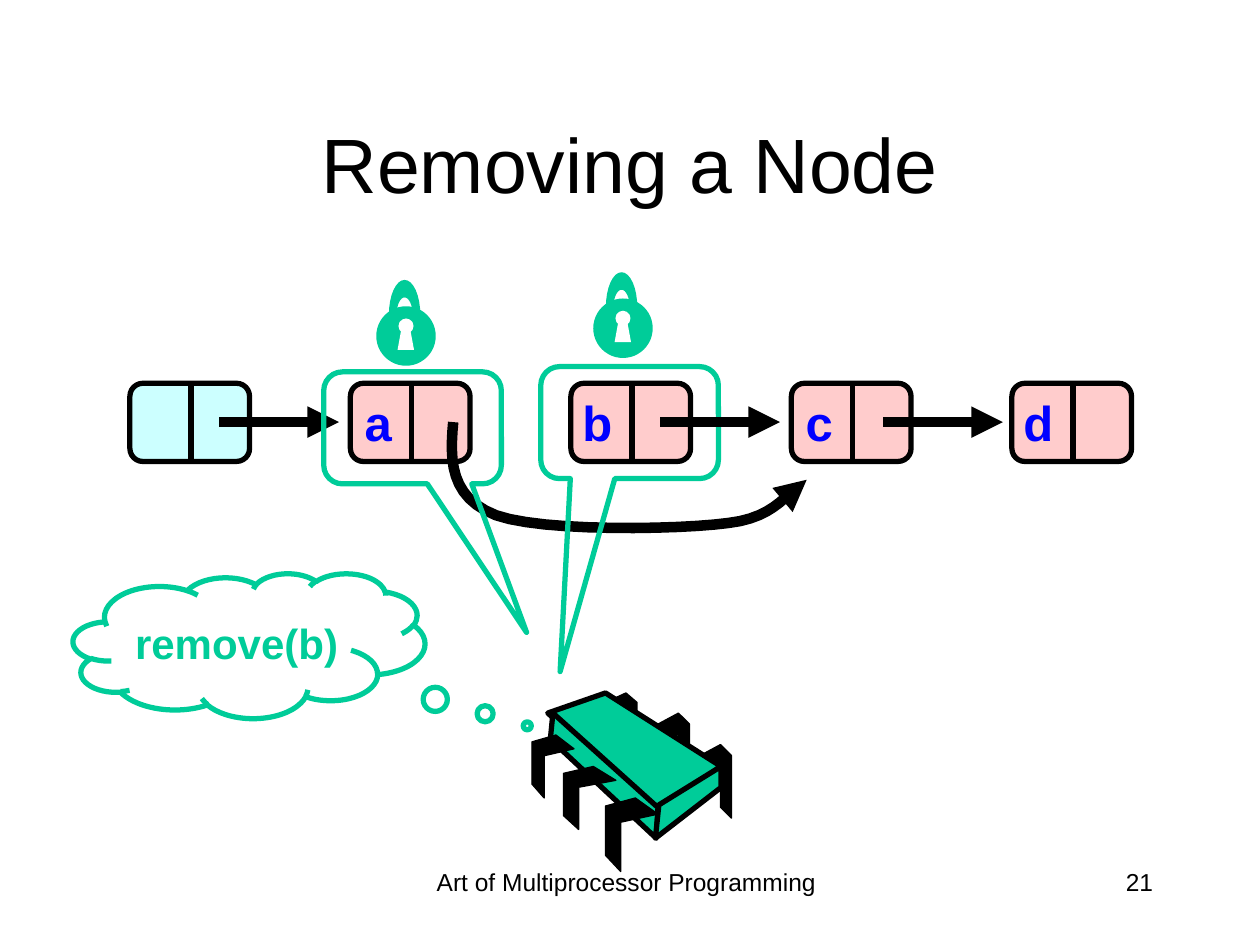
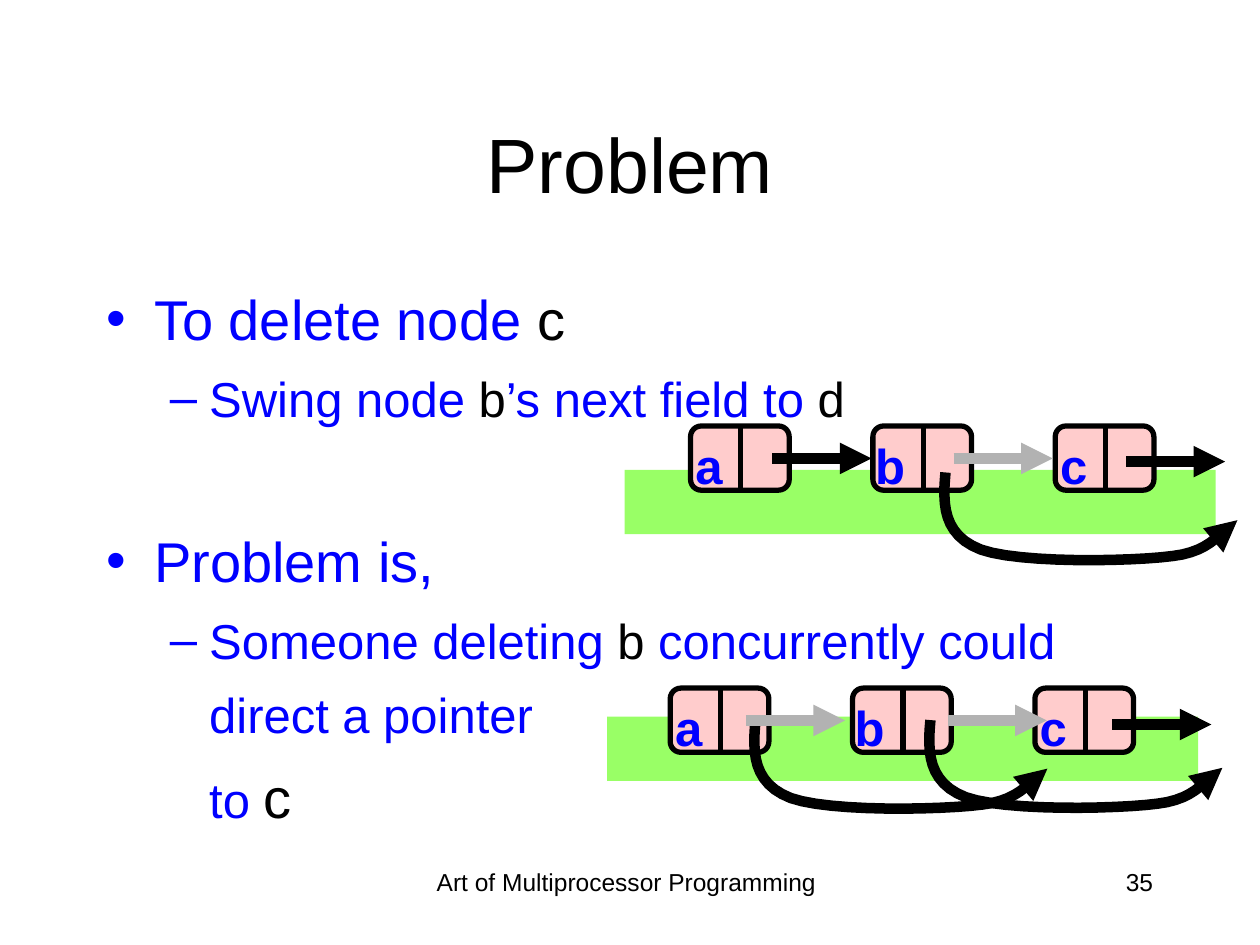
"""Build two slides on removing nodes from a linked list."""

import itertools
import math
from dataclasses import dataclass
from typing import Sequence

import lxml.etree
import pptx
import pptx.dml.color
import pptx.enum.shapes
import pptx.enum.text
import pptx.oxml.ns
import pptx.shapes.base
import pptx.slide
import pptx.text.text
import pptx.util

Pt = pptx.util.Pt
RGBColor = pptx.dml.color.RGBColor
SHAPE = pptx.enum.shapes.MSO_SHAPE
ALIGN = pptx.enum.text.PP_ALIGN
ANCHOR = pptx.enum.text.MSO_ANCHOR

BLACK = RGBColor(0x00, 0x00, 0x00)
WHITE = RGBColor(0xFF, 0xFF, 0xFF)
BLUE = RGBColor(0x00, 0x00, 0xFF)
GREEN = RGBColor(0x00, 0xCC, 0x99)
LIME = RGBColor(0x99, 0xFF, 0x66)
PINK = RGBColor(0xFF, 0xCC, 0xCC)
CYAN = RGBColor(0xCC, 0xFF, 0xFF)
GRAY = RGBColor(0xB2, 0xB2, 0xB2)

FONT = "Arial"
FOOTER = "Art of Multiprocessor Programming"

Point = tuple[float, float]

BACK_LEG = [(0, 0.15), (0.65, 0), (1, 0.15), (1, 1), (0.65, 0.85), (0.65, 0.29), (0, 0.43)]
FRONT_LEG = [(0.57, 0), (1, 0.22), (0.29, 0.33), (0.29, 1), (0, 0.78), (0, 0.11)]
SWING = [
    [(0.01, 0), (0, 0.34), (0, 0.68), (0.13, 0.84)],
    [(0.13, 0.84), (0.26, 0.99), (0.64, 0.97), (0.78, 0.91)],
    [(0.78, 0.91), (0.92, 0.86), (0.95, 0.6), (1, 0.52)],
]


@dataclass(frozen=True)
class Box:
    """A rectangle in points."""

    left: float
    top: float
    width: float
    height: float

    def emu(self) -> tuple[int, int, int, int]:
        """Return the four lengths for python-pptx."""
        return Pt(self.left), Pt(self.top), Pt(self.width), Pt(self.height)

    def place(self, points: Sequence[Point]) -> list[Point]:
        """Map unit coordinates into the rectangle."""
        return [(self.left + x * self.width, self.top + y * self.height) for x, y in points]


@dataclass(frozen=True)
class Node:
    """A list node with an optional label."""

    box: Box
    label: str = ""
    fill: RGBColor = PINK


@dataclass(frozen=True)
class Arrow:
    """A horizontal pointer arrow."""

    left: float
    y: float
    length: float
    color: RGBColor = BLACK


@dataclass(frozen=True)
class Bullet:
    """A body paragraph whose runs alternate between blue and black."""

    runs: tuple[str, ...]
    mark: str = ""
    size: float = 28
    margin: float = 58.5
    hanging: float = 22.5
    space_before: float = 9.5
    black_size: float = 28


BULLETS = [
    Bullet(("To delete node ", "c"), "•", 32, 27, 27, 0, 32),
    Bullet(("Swing node ", "b", "’s next field to ", "d"), "–"),
    Bullet(("Problem is,",), "•", 32, 27, 27, 57),
    Bullet(("Someone deleting ", "b", " concurrently could"), "–"),
    Bullet(("direct a pointer",), hanging=0, space_before=8.5),
    Bullet(("to ", "c"), hanging=0, space_before=11, black_size=32),
]


def add_run(paragraph, text: str, *, size: float, color: RGBColor = BLACK, bold: bool = False) -> None:
    """Append a formatted run to a paragraph."""
    run = paragraph.add_run()
    run.text = text
    run.font.name = FONT
    run.font.size = Pt(size)
    run.font.bold = bold
    run.font.color.rgb = color


def write(frame: pptx.text.text.TextFrame, text: str, *, align=ALIGN.CENTER, anchor=ANCHOR.TOP, **style) -> None:
    """Write one formatted paragraph into a text frame."""
    frame.word_wrap = True
    frame.vertical_anchor = anchor
    frame.paragraphs[0].alignment = align
    add_run(frame.paragraphs[0], text, **style)


def add_frame(slide: pptx.slide.Slide, box: Box) -> pptx.text.text.TextFrame:
    """Add a text box and return its frame."""
    return slide.shapes.add_textbox(*box.emu()).text_frame


def paint(shape: pptx.shapes.base.BaseShape, fill: RGBColor | None, line: RGBColor | None, width: float = 3) -> None:
    """Set fill and outline, with no shadow."""
    shape.shadow.inherit = False
    if fill is None:
        shape.fill.background()
    else:
        shape.fill.solid()
        shape.fill.fore_color.rgb = fill
    if line is None:
        shape.line.fill.background()
    else:
        shape.line.color.rgb = line
        shape.line.width = Pt(width)


def add_preset(slide: pptx.slide.Slide, kind, box: Box, *, fill=None, line=None, adjust: Sequence[float] = ()):
    """Add a preset shape."""
    shape = slide.shapes.add_shape(kind, *box.emu())
    for index, value in enumerate(adjust):
        shape.adjustments[index] = value
    paint(shape, fill, line)
    return shape


def add_outline(slide: pptx.slide.Slide, points: Sequence[Point], *, fill=None, line=None, width=3.0, close=True):
    """Add a freeform through the given points."""
    corners = [(Pt(x), Pt(y)) for x, y in points]
    builder = slide.shapes.build_freeform(*corners[0])
    builder.add_line_segments(corners[1:], close=close)
    shape = builder.convert_to_shape()
    paint(shape, fill, line, width)
    return shape


def add_arrowhead(shape: pptx.shapes.base.BaseShape) -> None:
    """Put a triangle at the end of a line."""
    line = shape.element.spPr.find(pptx.oxml.ns.qn("a:ln"))
    lxml.etree.SubElement(line, pptx.oxml.ns.qn("a:tailEnd"), type="triangle")


def add_line(slide: pptx.slide.Slide, start: Point, end: Point, color: RGBColor, width: float):
    """Add a straight connector without a shadow."""
    kind = pptx.enum.shapes.MSO_CONNECTOR.STRAIGHT
    connector = slide.shapes.add_connector(kind, *(Pt(value) for value in (*start, *end)))
    connector.line.color.rgb = color
    connector.line.width = Pt(width)
    lxml.etree.SubElement(connector.element.spPr, pptx.oxml.ns.qn("a:effectLst"))
    return connector


def add_arrow(slide: pptx.slide.Slide, arrow: Arrow) -> None:
    """Draw a pointer arrow."""
    end = (arrow.left + arrow.length, arrow.y)
    add_arrowhead(add_line(slide, (arrow.left, arrow.y), end, arrow.color, 6))


def add_swing(slide: pptx.slide.Slide, box: Box) -> None:
    """Draw the curved arrow that bypasses a node."""
    points = [SWING[0][0]]
    for curve in SWING:
        for step in range(1, 13):
            t = step / 12
            weights = [math.comb(3, k) * t**k * (1 - t) ** (3 - k) for k in range(4)]
            points.append(tuple(sum(w * p[axis] for w, p in zip(weights, curve)) for axis in (0, 1)))
    add_arrowhead(add_outline(slide, box.place(points), line=BLACK, width=6, close=False))


def add_node(slide: pptx.slide.Slide, node: Node) -> None:
    """Draw a two-field list node."""
    box = node.box
    add_preset(slide, SHAPE.ROUNDED_RECTANGLE, box, fill=node.fill, line=BLACK, adjust=[0.167])
    middle = box.left + 0.51 * box.width
    add_line(slide, (middle, box.top - 0.5), (middle, box.top + box.height + 0.5), BLACK, 3)
    if node.label:
        right = box.left + 0.45 * box.width
        frame = add_frame(slide, Box(right - 34, box.top + 2, 34, 41))
        frame.margin_left = 0
        write(frame, node.label, align=ALIGN.RIGHT, size=28, color=BLUE, bold=True)


def add_lock(slide: pptx.slide.Slide, left: float, top: float) -> None:
    """Draw a padlock whose disc starts at the given point."""
    add_preset(slide, SHAPE.OVAL, Box(left, top, 34, 34), fill=GREEN)
    add_preset(slide, SHAPE.OVAL, Box(left + 12.7, top + 7, 8.6, 8.6), fill=WHITE)
    keyhole = [(12.2, 25), (14.4, 13), (19.4, 13), (21.6, 25)]
    angles = [math.pi * step / 16 for step in range(17)]
    outer = [(16.2 - 9 * math.cos(a), 5 - 20 * math.sin(a)) for a in angles]
    inner = [(16.2 + 4.6 * math.cos(a), 5 - 10 * math.sin(a)) for a in angles]
    for points, fill in ((keyhole, WHITE), (outer + inner, GREEN)):
        add_outline(slide, [(left + x, top + y) for x, y in points], fill=fill)


def add_chip(slide: pptx.slide.Slide) -> None:
    """Draw the processor chip with its legs."""
    back = [Box(400, 425.5, 18, 42), Box(376, 407.5, 18, 42), Box(346, 396, 18, 36)]
    front = [Box(346, 456, 30, 42), Box(322, 438, 30, 36), Box(304, 420, 24, 36)]
    faces = [
        [(346, 396), (412, 438), (375, 463), (313, 407.5)],
        [(316, 407.5), (376, 461.5), (375, 479), (314.5, 422.5)],
        [(412, 438), (412, 450), (374.5, 479), (376.5, 460)],
    ]
    for box in back:
        add_outline(slide, box.place(BACK_LEG), fill=BLACK, line=BLACK, width=0.75)
    for face in faces:
        add_outline(slide, face, fill=GREEN, line=BLACK)
    for box in front:
        add_outline(slide, box.place(FRONT_LEG), fill=BLACK, line=BLACK, width=0.75)


def add_bullets(slide: pptx.slide.Slide, box: Box) -> None:
    """Write the bulleted body text."""
    frame = add_frame(slide, box)
    frame.word_wrap = True
    for index, bullet in enumerate(BULLETS):
        paragraph = frame.add_paragraph() if index else frame.paragraphs[0]
        paragraph.space_before = Pt(bullet.space_before)
        properties = paragraph._p.get_or_add_pPr()
        properties.set("marL", str(Pt(bullet.margin)))
        properties.set("indent", str(-Pt(bullet.hanging)))
        if bullet.mark:
            lxml.etree.SubElement(properties, pptx.oxml.ns.qn("a:buFont"), typeface=FONT)
            lxml.etree.SubElement(properties, pptx.oxml.ns.qn("a:buChar"), char=bullet.mark)
        styles = itertools.cycle([(BLUE, bullet.size), (BLACK, bullet.black_size)])
        for text, (color, size) in zip(bullet.runs, styles):
            add_run(paragraph, text, size=size, color=color)


def new_slide(presentation, title: str, number: int) -> pptx.slide.Slide:
    """Add a blank slide with its title and footers."""
    slide = presentation.slides.add_slide(presentation.slide_layouts[6])
    write(add_frame(slide, Box(223, 492, 270, 36)), FOOTER, size=14)
    write(add_frame(slide, Box(516, 492, 150, 36)), str(number), align=ALIGN.RIGHT, size=14)
    write(add_frame(slide, Box(54, 48, 612, 90)), title, anchor=ANCHOR.MIDDLE, size=44)
    return slide


def build_removing(presentation) -> None:
    """Build the slide on removing a node."""
    slide = new_slide(presentation, "Removing a Node", 21)
    for index, label in enumerate(["", "a", "b", "c", "d"]):
        box = Box(74.2 + 126 * index, 219, 68.4, 44.7)
        add_node(slide, Node(box, label, PINK if label else CYAN))
    add_arrow(slide, Arrow(125.3, 241.2, 68.4))
    add_swing(slide, Box(257, 241.2, 204, 63.4))
    add_chip(slide)
    for left, top, tip in ((309, 209.5, (-0.391, 2.223)), (185, 212.5, (0.642, 1.826))):
        box = Box(left, top, 101.5, 64)
        add_preset(slide, SHAPE.ROUNDED_RECTANGULAR_CALLOUT, box, line=GREEN, adjust=[*tip, 0.167])
    for left in (377.3, 504.7):
        add_arrow(slide, Arrow(left, 241.2, 68.4))
    cloud = add_preset(slide, SHAPE.CLOUD_CALLOUT, Box(41.8, 327.6, 201, 82.8), line=GREEN, adjust=[0.791, 0.553])
    write(cloud.text_frame, "remove(b)", anchor=ANCHOR.MIDDLE, size=24, color=GREEN, bold=True)
    add_lock(slide, 339, 170.6)
    add_lock(slide, 215, 175)


def build_problem(presentation) -> None:
    """Build the slide on concurrent deletion."""
    slide = new_slide(presentation, "Problem", 35)
    for left, top in ((347, 409.5), (357, 268.5)):
        add_preset(slide, SHAPE.RECTANGLE, Box(left, top, 337.7, 36.7), fill=LIME)
    add_bullets(slide, Box(54, 159, 612, 321))
    for first, top in ((394.6, 243.4), (383, 393.2)):
        for index, label in enumerate("abc"):
            add_node(slide, Node(Box(first + 104.2 * index, top, 56.4, 36.7), label))
    for left, top in ((538.6, 270), (430, 412), (530, 411.5)):
        add_swing(slide, Box(left, top, 168.5, 52.5))
    pointers = [
        (441.4, 262, BLACK), (545, 262, GRAY), (643.5, 263.8, BLACK),
        (426.2, 411.7, GRAY), (541.5, 411.7, GRAY), (635.6, 414, BLACK),
    ]
    for left, y, color in pointers:
        add_arrow(slide, Arrow(left, y, 56.6, color))


def main() -> None:
    """Build and save the presentation."""
    presentation = pptx.Presentation()
    presentation.slide_width = Pt(720)
    presentation.slide_height = Pt(540)
    build_removing(presentation)
    build_problem(presentation)
    presentation.save("out.pptx")


if __name__ == "__main__":
    main()
